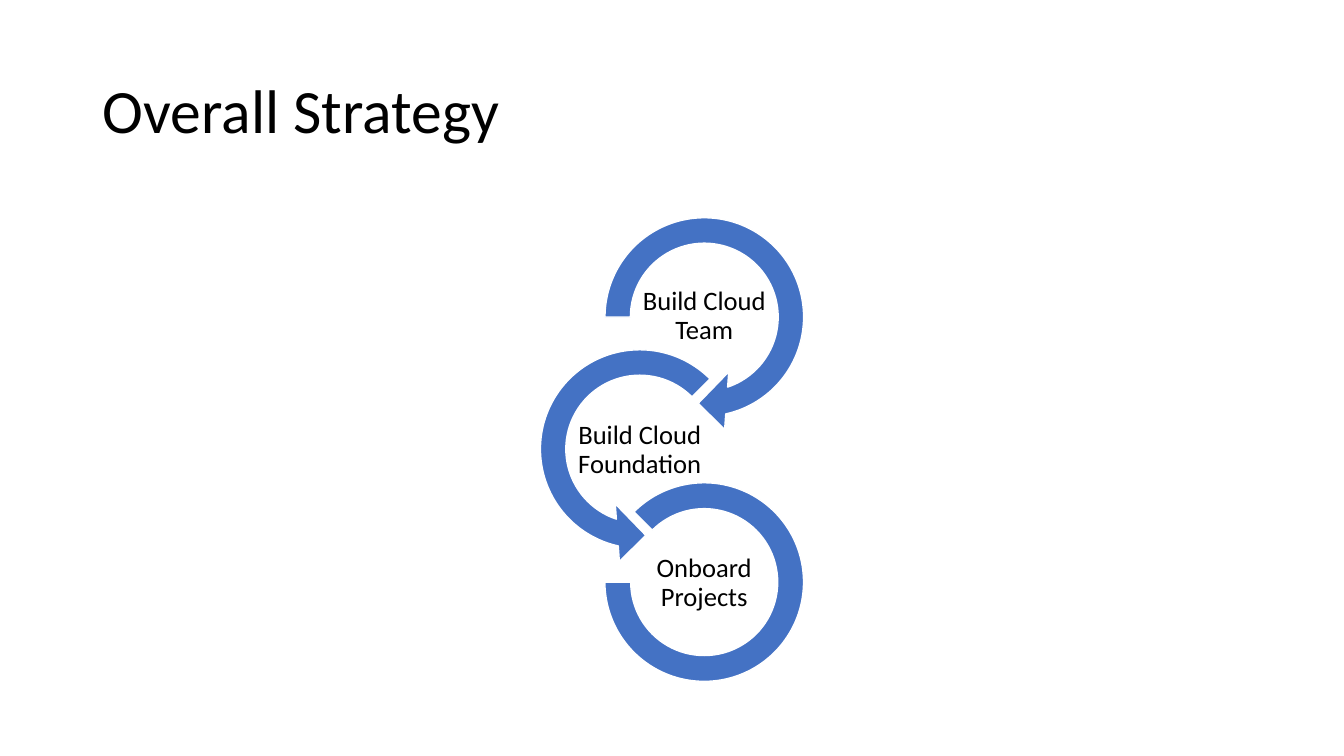
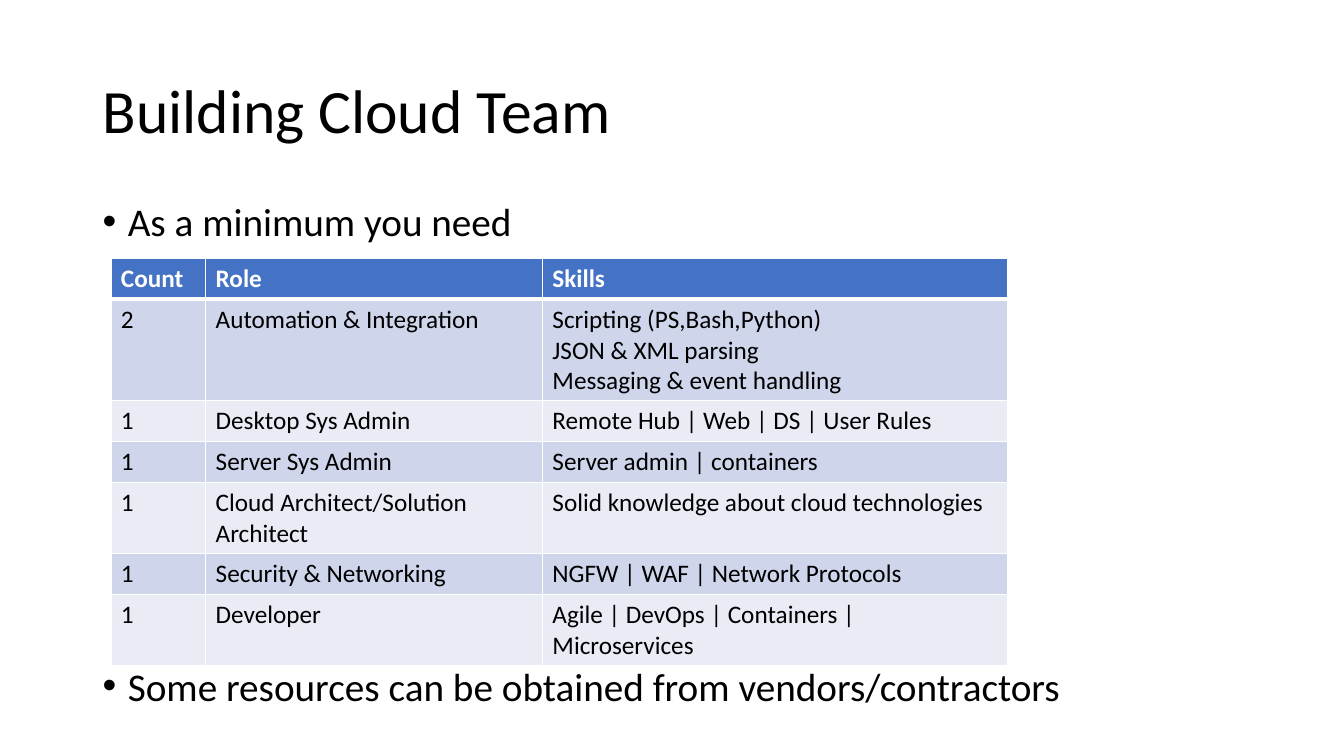
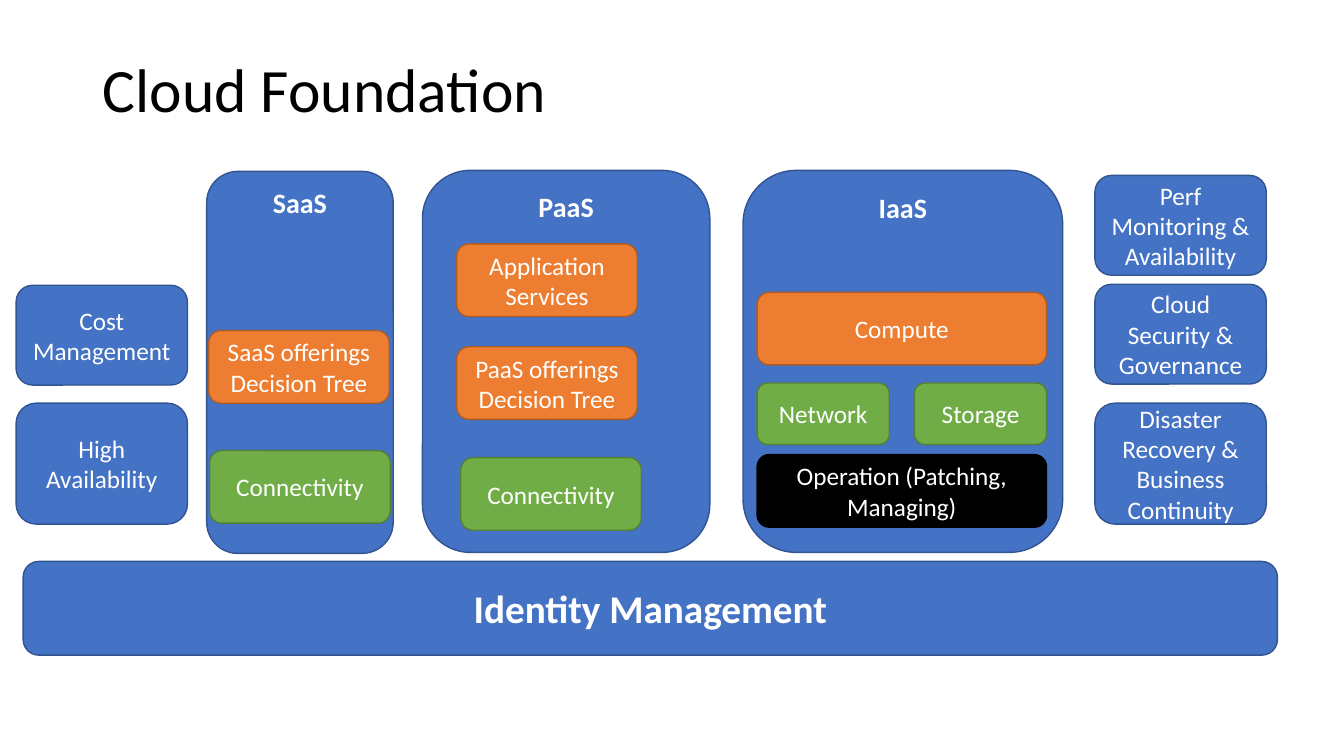
from lxml.etree import SubElement
from pptx import Presentation
from pptx.dml.color import RGBColor
from pptx.enum.shapes import MSO_SHAPE
from pptx.enum.text import MSO_ANCHOR, MSO_AUTO_SIZE, PP_ALIGN
from pptx.oxml.ns import qn
from pptx.util import Inches, Pt

FONT = "Calibri"
COLORS = {
    "black": "000000", "white": "FFFFFF",
    "blue": "4472C4", "blue edge": "325491",
    "orange": "ED7D31", "orange edge": "AF5C24",
    "green": "70AD47", "green edge": "538035",
    "black edge": "000000",
    "band dark": "CFD5EA", "band light": "E9EBF5",
}

# Strategy steps: label, shape, adjustments, left, top, size, label left, label top
RING = 0.11
ARROW_HEAD = 11.42
ARROW_WIDTH = 1 / 8
STEPS = [
    ("Build Cloud Team", MSO_SHAPE.CIRCULAR_ARROW,
     (RING, ARROW_HEAD, 45, 108, ARROW_WIDTH), 5.84, 2, 2.29, 6.35, 2.82),
    ("Build Cloud Foundation", MSO_SHAPE.LEFT_CIRCULAR_ARROW,
     (RING, ARROW_HEAD, 63, 189, ARROW_WIDTH), 5.2, 3.31, 2.29, 5.71, 4.15),
    ("Onboard Projects", MSO_SHAPE.BLOCK_ARC,
     (135, 108, 0.13), 6, 4.79, 1.97, 6.35, 5.47),
]

# Team table
COLUMN_WIDTHS = (0.94, 3.34, 4.61)
TEAM = [
    ("Count", "Role", "Skills"),
    ("2", "Automation & Integration",
     "Scripting (PS,Bash,Python)\nJSON & XML parsing\nMessaging & event handling"),
    ("1", "Desktop Sys Admin", "Remote Hub | Web | DS | User Rules"),
    ("1", "Server Sys Admin", "Server admin | containers"),
    ("1", "Cloud Architect/Solution Architect",
     "Solid knowledge about cloud technologies"),
    ("1", "Security & Networking", "NGFW | WAF | Network Protocols"),
    ("1", "Developer", "Agile | DevOps | Containers | Microservices"),
]

# Foundation: service panels, then the blocks on and around them
PANELS = [
    ("SaaS", 2.05, 1.7, 1.85),
    ("PaaS", 4.19, 1.69, 2.85),
    ("IaaS", 7.37, 1.69, 3.17),
]
PANEL_HEIGHT = 3.79
SIDE = (1.7, 0.99)
TALL_SIDE = (1.7, 1.2)
SERVICE = (1.79, 0.72)
WIDE_SERVICE = (2.87, 0.72)
RESOURCE = (1.31, 0.61)
BLOCKS = [
    ("Cost Management", "blue", 0.16, 2.83, SIDE),
    ("High Availability", "blue", 0.16, 4, TALL_SIDE),
    ("Perf Monitoring & Availability", "blue", 10.86, 1.74, SIDE),
    ("Cloud Security & Governance", "blue", 10.86, 2.82, SIDE),
    ("Disaster Recovery & Business Continuity", "blue", 10.86, 4, TALL_SIDE),
    ("SaaS offerings Decision Tree", "orange", 2.07, 3.28, SERVICE),
    ("Connectivity", "green", 2.08, 4.47, SERVICE),
    ("Application Services", "orange", 4.53, 2.42, SERVICE),
    ("PaaS offerings Decision Tree", "orange", 4.53, 3.44, SERVICE),
    ("Connectivity", "green", 4.57, 4.54, SERVICE),
    ("Compute", "orange", 7.51, 2.9, WIDE_SERVICE),
    ("Network", "green", 7.51, 3.8, RESOURCE),
    ("Storage", "green", 9.07, 3.8, RESOURCE),
    ("Operation (Patching, Managing)", "black", 7.51, 4.51, WIDE_SERVICE),
]


def rgb(name):
    return RGBColor.from_string(COLORS[name])


def style_paragraph(para, size, color="black", bold=False, align=PP_ALIGN.LEFT):
    para.alignment = align
    para.font.name = FONT
    para.font.size = Pt(size)
    para.font.bold = bold
    para.font.color.rgb = rgb(color)


def add_page(deck, title, title_height=1.45):
    page = deck.slides.add_slide(deck.slide_layouts[5])
    box = page.shapes.title
    box.left, box.top = Inches(0.92), Inches(0.4)
    box.width, box.height = Inches(11.5), Inches(title_height)
    frame = box.text_frame
    frame.text = title
    frame.auto_size = MSO_AUTO_SIZE.NONE
    frame.vertical_anchor = MSO_ANCHOR.MIDDLE
    para = frame.paragraphs[0]
    style_paragraph(para, 44)
    para.line_spacing = 0.9
    return page


def add_shape(page, kind, left, top, width, height, fill, line):
    shape = page.shapes.add_shape(
        kind, Inches(left), Inches(top), Inches(width), Inches(height))
    shape.shadow.inherit = False
    shape.fill.solid()
    shape.fill.fore_color.rgb = rgb(fill)
    shape.line.color.rgb = rgb(line)
    shape.line.width = Pt(1)
    return shape


def add_text_box(page, left, top, width, height):
    box = page.shapes.add_textbox(
        Inches(left), Inches(top), Inches(width), Inches(height))
    box.text_frame.word_wrap = True
    return box.text_frame


def add_step(page, label, kind, adjustments, left, top, size, label_left, label_top):
    ring = add_shape(page, kind, left, top, size, size, "blue", "white")
    for index, value in enumerate(adjustments):
        ring.adjustments[index] = value
    frame = add_text_box(page, label_left, label_top, 1.27, 0.64)
    frame.margin_left = frame.margin_right = Inches(0.01)
    frame.margin_top = frame.margin_bottom = Inches(0.01)
    frame.vertical_anchor = MSO_ANCHOR.MIDDLE
    frame.text = label
    para = frame.paragraphs[0]
    style_paragraph(para, 19, align=PP_ALIGN.CENTER)
    para.line_spacing = 0.9


def add_block(page, text, color, left, top, width, height,
              size=18, bold=False, anchor=MSO_ANCHOR.MIDDLE):
    block = add_shape(page, MSO_SHAPE.ROUNDED_RECTANGLE, left, top, width, height,
                      color, color + " edge")
    frame = block.text_frame
    frame.word_wrap = True
    frame.vertical_anchor = anchor
    frame.text = text
    style_paragraph(frame.paragraphs[0], size, "white", bold, PP_ALIGN.CENTER)


def add_bullets(page, bullets):
    """Each bullet is a text and the space before it in points."""
    frame = add_text_box(page, 0.92, 2, 9.94, 5.38)
    frame.text = "\n".join(text for text, _ in bullets)
    for para, (_, space) in zip(frame.paragraphs, bullets):
        style_paragraph(para, 28)
        para.line_spacing = 0.8
        para.space_before = Pt(space)
        properties = para._p.get_or_add_pPr()
        properties.set("marL", str(Inches(0.25)))
        properties.set("indent", str(-Inches(0.25)))
        SubElement(properties, qn("a:buFont"), typeface="Arial")
        SubElement(properties, qn("a:buChar"), char="•")


def set_borders(cell, bottom_width):
    properties = cell._tc.get_or_add_tcPr()
    for side, width in (("L", 1), ("R", 1), ("T", 1), ("B", bottom_width)):
        line = SubElement(properties, qn("a:ln" + side), w=str(Pt(width)))
        fill = SubElement(line, qn("a:solidFill"))
        SubElement(fill, qn("a:srgbClr"), val=COLORS["white"])


def add_team_table(page):
    row_height = Inches(0.41)
    table = page.shapes.add_table(
        len(TEAM), len(COLUMN_WIDTHS), Inches(1.1), Inches(2.56),
        Inches(sum(COLUMN_WIDTHS)), row_height * len(TEAM)).table
    table.horz_banding = False
    for column, width in zip(table.columns, COLUMN_WIDTHS):
        column.width = Inches(width)
    for row_index, texts in enumerate(TEAM):
        header = row_index == 0
        band = "band dark" if row_index % 2 else "band light"
        table.rows[row_index].height = row_height
        for column_index, text in enumerate(texts):
            cell = table.cell(row_index, column_index)
            cell.text = text
            set_borders(cell, 3 if header else 1)
            cell.fill.solid()
            cell.fill.fore_color.rgb = rgb("blue" if header else band)
            for para in cell.text_frame.paragraphs:
                style_paragraph(para, 18, "white" if header else "black", header)


def main():
    deck = Presentation()
    deck.slide_width, deck.slide_height = Inches(13.33), Inches(7.5)

    # Strategy
    page = add_page(deck, "Overall Strategy")
    for step in STEPS:
        add_step(page, *step)

    # Team
    page = add_page(deck, "Building Cloud Team")
    add_bullets(page, [
        ("As a minimum you need", 10),
        ("Some resources can be obtained from vendors/contractors", 305),
    ])
    add_team_table(page)

    # Foundation
    page = add_page(deck, "Cloud Foundation", title_height=1.04)
    add_block(page, "Identity Management", "blue", 0.23, 5.57, 12.44, 0.93,
              size=28, bold=True)
    for name, left, top, width in PANELS:
        add_block(page, name, "blue", left, top, width, PANEL_HEIGHT,
                  size=20, bold=True, anchor=MSO_ANCHOR.TOP)
    for text, color, left, top, size in BLOCKS:
        add_block(page, text, color, left, top, *size)

    deck.save("out.pptx")


main()
